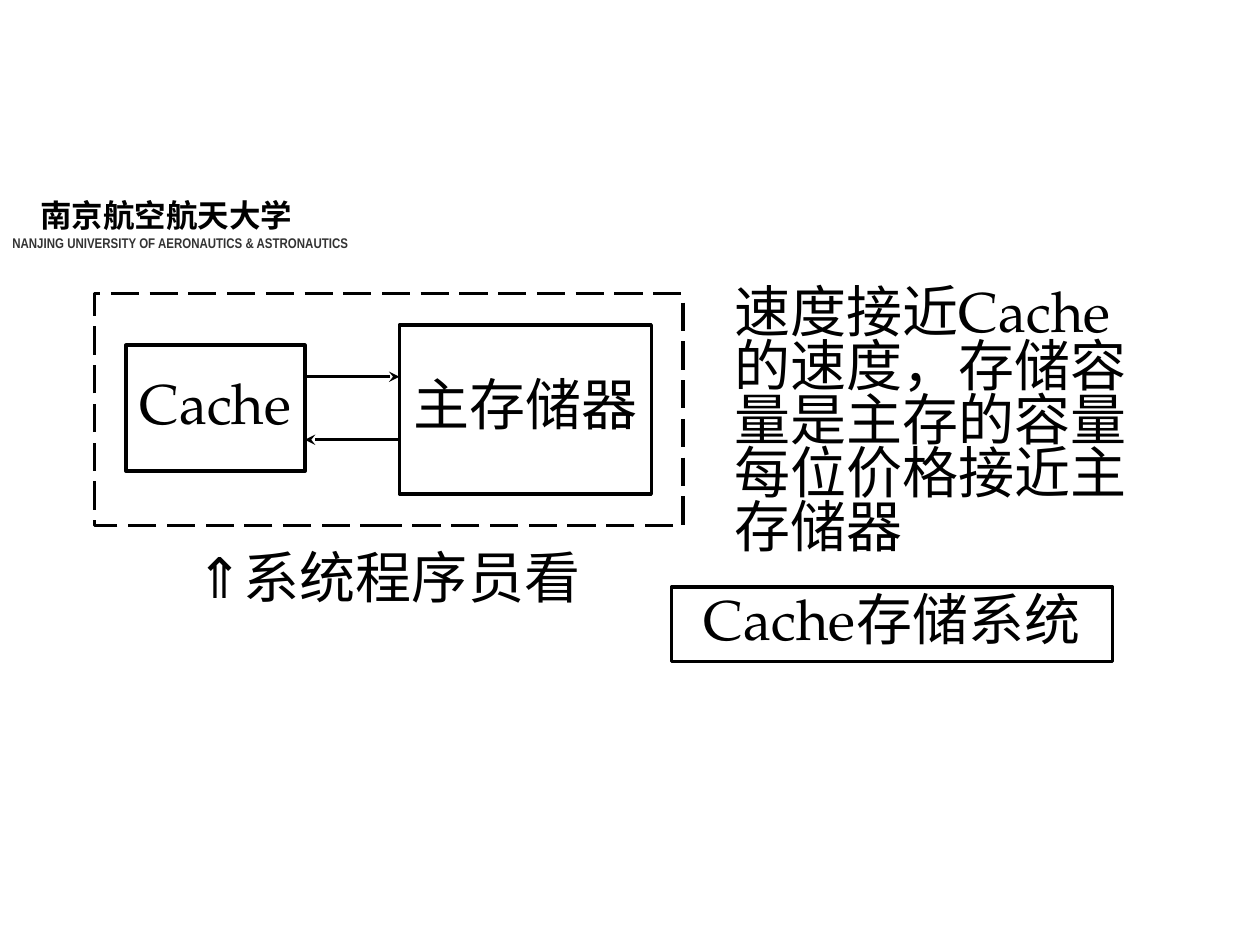
from dataclasses import dataclass

import pptx
import pptx.dml.color
import pptx.enum.dml
import pptx.enum.shapes
import pptx.enum.text
import pptx.oxml
import pptx.oxml.ns
import pptx.util
from pptx.util import Inches

BLACK = "000000"
SERIF = "TeX Gyre Pagella"
CENTER = pptx.enum.text.PP_ALIGN.CENTER
LEFT = pptx.enum.text.PP_ALIGN.LEFT


@dataclass
class Block:
    left: float
    top: float
    width: float
    height: float
    text: str = ""
    dashed: bool = False


@dataclass
class Arrow:
    start: float
    end: float
    y: float


CACHE = Block(1, 2.74, 1.42, 1, "Cache")
MEMORY = Block(3.17, 2.58, 2, 1.34, "主存储器")
SYSTEM = Block(0.75, 2.33, 4.67, 1.84, dashed=True)
TITLE = Block(5.33, 4.66, 3.5, 0.59, "Cache存储系统")
VIEWER = Block(SYSTEM.left, 4.33, SYSTEM.width, 0.58, "系统程序员看")
SUMMARY = Block(
    5.75, 2.24, 3.33, 2.25,
    "速度接近Cache\v的速度，存储容\v量是主存的容量\v每位价格接近主\v存储器",
)
CACHE_RIGHT = CACHE.left + CACHE.width
ARROWS = [
    Arrow(CACHE_RIGHT, MEMORY.left, 2.99),
    Arrow(MEMORY.left, CACHE_RIGHT, 3.49),
]


def color(value: str) -> pptx.dml.color.RGBColor:
    return pptx.dml.color.RGBColor.from_string(value)


def set_font(font, name: str, size: float, value: str = BLACK, bold: bool = False) -> None:
    font.name = name
    font.size = pptx.util.Pt(size)
    font.bold = bold
    font.color.rgb = color(value)


def bounds(block: Block) -> list:
    return [Inches(n) for n in (block.left, block.top, block.width, block.height)]


def set_outline(line) -> None:
    line.color.rgb = color(BLACK)
    line.width = pptx.util.Pt(2)


def write_label(shape, text: str, alignment=CENTER):
    """Fill the shape with one tightly spaced, unwrapped paragraph and return it."""
    frame = shape.text_frame
    frame.word_wrap = False
    frame.vertical_anchor = pptx.enum.text.MSO_ANCHOR.MIDDLE
    frame.margin_left = frame.margin_right = Inches(0.08)
    frame.margin_top = frame.margin_bottom = Inches(0.04)
    paragraph = frame.paragraphs[0]
    paragraph.text = text
    paragraph.alignment = alignment
    paragraph.line_spacing = 0.8
    set_font(paragraph.font, SERIF, 32)
    return paragraph


def draw_box(slide, block: Block) -> None:
    box = slide.shapes.add_shape(pptx.enum.shapes.MSO_SHAPE.RECTANGLE, *bounds(block))
    box.shadow.inherit = False
    box.fill.background()
    set_outline(box.line)
    if block.dashed:
        box.line.dash_style = pptx.enum.dml.MSO_LINE.LONG_DASH
    if block.text:
        write_label(box, block.text)


def draw_arrow(slide, arrow: Arrow) -> None:
    connector = slide.shapes.add_connector(
        pptx.enum.shapes.MSO_CONNECTOR.STRAIGHT,
        Inches(arrow.start), Inches(arrow.y), Inches(arrow.end), Inches(arrow.y),
    )
    set_outline(connector.line)
    head = pptx.oxml.parse_xml(f'<a:tailEnd {pptx.oxml.ns.nsdecls("a")} type="stealth"/>')
    connector.line._get_or_add_ln().append(head)
    no_effects = pptx.oxml.parse_xml(f'<a:effectLst {pptx.oxml.ns.nsdecls("a")}/>')
    connector._element.spPr.append(no_effects)


def draw_university(slide) -> None:
    frame = slide.shapes.add_textbox(*bounds(Block(0, 1.51, 3.03, 0.67))).text_frame
    frame.word_wrap = True
    chinese = frame.paragraphs[0]
    chinese.text = "南京航空航天大学"
    chinese._p.get_or_add_pPr().set("indent", str(Inches(0.22)))
    set_font(chinese.font, "Arial", 18, bold=True)
    english = frame.add_paragraph()
    english.text = "NANJING UNIVERSITY OF AERONAUTICS & ASTRONAUTICS"
    set_font(english.font, "Arial Narrow", 8, "333333", bold=True)


def draw_viewer(slide) -> None:
    paragraph = write_label(slide.shapes.add_textbox(*bounds(VIEWER)), "⇑")
    paragraph.runs[0].font.name = "Arial"
    paragraph.add_run().text = VIEWER.text


def main() -> None:
    presentation = pptx.Presentation()
    presentation.slide_width = Inches(10)
    presentation.slide_height = Inches(7.5)
    slide = presentation.slides.add_slide(presentation.slide_layouts[6])

    draw_university(slide)
    for arrow in ARROWS:
        draw_arrow(slide, arrow)
    for block in (CACHE, MEMORY, SYSTEM, TITLE):
        draw_box(slide, block)
    draw_viewer(slide)
    write_label(slide.shapes.add_textbox(*bounds(SUMMARY)), SUMMARY.text, LEFT)

    presentation.save("out.pptx")


if __name__ == "__main__":
    main()
